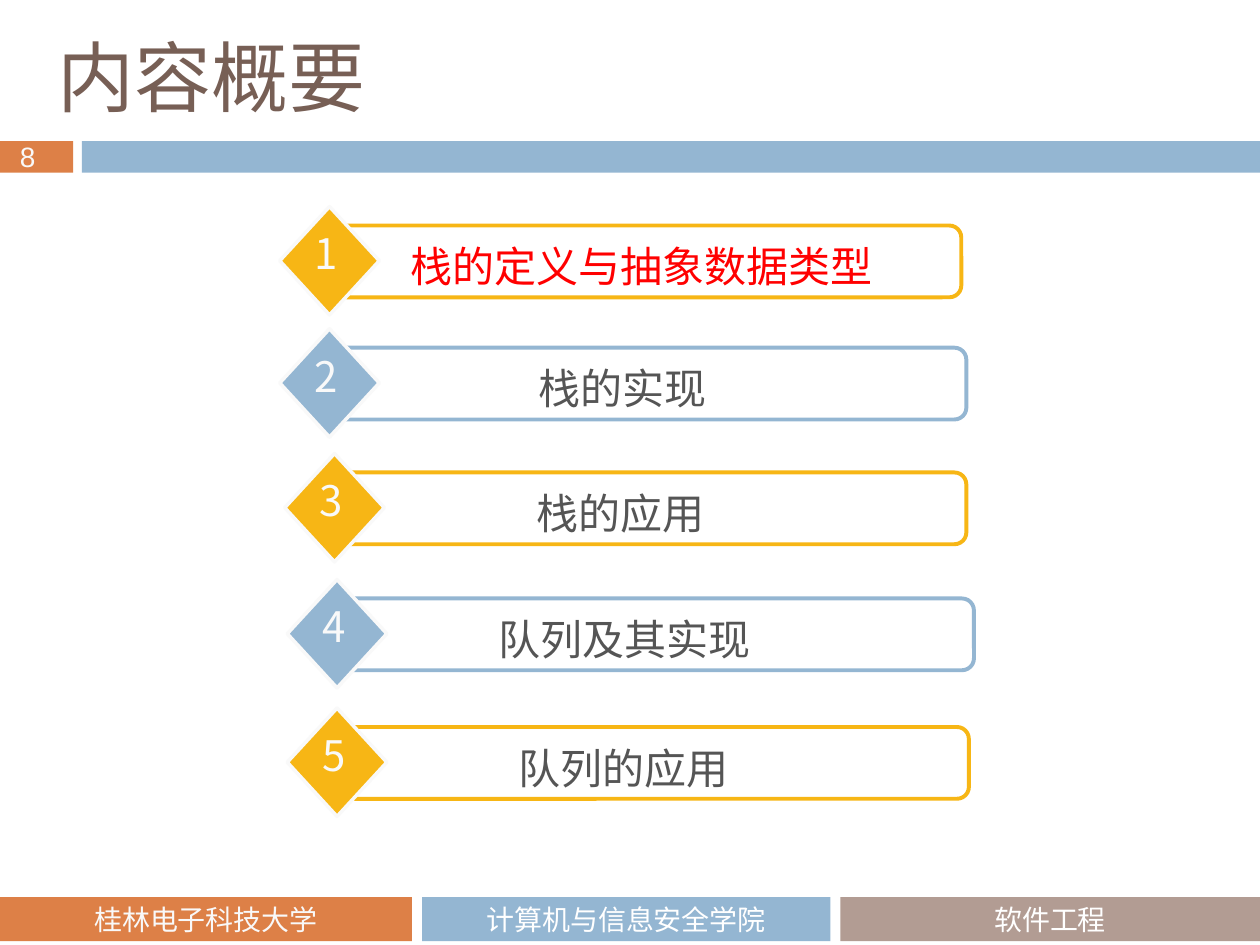
from pptx import Presentation
from pptx.dml.color import RGBColor
from pptx.enum.shapes import MSO_SHAPE as Shape
from pptx.enum.text import MSO_ANCHOR as Anchor, MSO_AUTO_SIZE as AutoSize, PP_ALIGN as Align
from pptx.oxml.ns import qn
from pptx.util import Inches, Pt

ORANGE, BLUE, BROWN, GOLD = "DD8047", "94B6D2", "B29C93", "F7B615"
WHITE, PALE, GREY, RED, TITLE = "FFFFFF", "F9F9F9", "555555", "FF0000", "775F55"
SANS = "Noto Sans CJK SC"

AGENDA = [
    ("栈的定义与抽象数据类型", RED, GOLD, 2.22, 1.64, 4.97, 2.96, 4.26),
    ("栈的实现", GREY, BLUE, 2.22, 2.61, 5.01, 3.2, 3.48),
    ("栈的应用", GREY, GOLD, 2.26, 3.6, 4.97, 2.96, 3.93),
    ("队列及其实现", GREY, BLUE, 2.28, 4.6, 5.01, 2.98, 3.95),
    ("队列的应用", GREY, GOLD, 2.28, 5.62, 4.97, 2.98, 3.93),
]
FOOTER = [
    ("桂林电子科技大学", ORANGE, PALE, 0, 3.27),
    ("计算机与信息安全学院", BLUE, WHITE, 3.35, 3.24),
    ("软件工程", BROWN, WHITE, 6.67, 3.33),
]


def color(value):
    return RGBColor.from_string(value)


def assign(target, values):
    for name, value in values.items():
        setattr(target, name, value)


class SlideBuilder:
    def __init__(self, deck):
        self.page = deck.slides.add_slide(deck.slide_layouts[5])

    def set_text(self, box, text, size, font, fill, align=Align.CENTER, **frame):
        assign(box.text_frame, frame)
        para = box.text_frame.paragraphs[0]
        para.alignment = align
        span = para.add_run()
        span.text = text
        assign(span.font, {"size": Pt(size), "name": font})
        span.font.color.rgb = color(fill)
        east_asian = span.font._element.makeelement(qn("a:ea"), {"typeface": font})
        span.font._element.find(qn("a:latin")).addnext(east_asian)

    def title(self, text, *bounds):
        box = self.page.shapes.title
        assign(box, dict(zip(("left", "top", "width", "height"), map(Inches, bounds))))
        self.set_text(box, text, 44, "Noto Sans CJK JP", TITLE, Align.LEFT,
                      vertical_anchor=Anchor.MIDDLE, auto_size=AutoSize.NONE)

    def shape(self, kind, *bounds, fill=None, line=None, weight=2):
        item = self.page.shapes.add_shape(kind, *map(Inches, bounds))
        item.shadow.inherit = False
        if fill:
            item.fill.solid()
            item.fill.fore_color.rgb = color(fill)
        else:
            item.fill.background()
        if line:
            item.line.color.rgb = color(line)
            item.line.width = Pt(weight)
        else:
            item.line.fill.background()
        return item

    def label(self, text, *bounds, size=24, font=SANS, fill=GREY,
              align=Align.CENTER, wrap=True):
        box = self.page.shapes.add_textbox(*map(Inches, bounds))
        self.set_text(box, text, size, font, fill, align, word_wrap=wrap,
                      auto_size=AutoSize.SHAPE_TO_FIT_TEXT)

    def footer(self, text, fill, ink, left, width):
        bar = self.shape(Shape.RECTANGLE, left, 7.12, width, 0.35, fill=fill)
        self.set_text(bar, text, 16, "Calibri", ink, vertical_anchor=Anchor.MIDDLE)

    def agenda_row(self, number, text, ink, accent, left, top, width, text_left, text_width):
        self.shape(Shape.ROUNDED_RECTANGLE, left + 0.44, top + 0.15, width, 0.57,
                   line=accent, weight=2.25)
        self.shape(Shape.DIAMOND, left, top, 0.79, 0.86, fill=accent, line=PALE)
        self.label(text, text_left, top + 0.22, text_width, 0.5, fill=ink)
        self.label(str(number), left + 0.18, top + 0.12, 0.37, 0.5, fill=PALE, wrap=False)


def main():
    deck = Presentation()
    assign(deck, {"slide_width": Inches(10), "slide_height": Inches(7.5)})
    slide = SlideBuilder(deck)
    slide.title("内容概要", 0.36, 0.27, 5.67, 0.66)
    slide.shape(Shape.RECTANGLE, 0, 1.12, 0.58, 0.25, fill=ORANGE)
    slide.shape(Shape.RECTANGLE, 0.65, 1.12, 9.35, 0.25, fill=BLUE)
    slide.label("8", 0.06, 1.06, 0.48, 0.37, size=16, font="Arial", fill=PALE,
                align=Align.LEFT, wrap=False)
    for section in FOOTER:
        slide.footer(*section)
    for number, row in enumerate(AGENDA, 1):
        slide.agenda_row(number, *row)
    deck.save("out.pptx")


if __name__ == "__main__":
    main()
